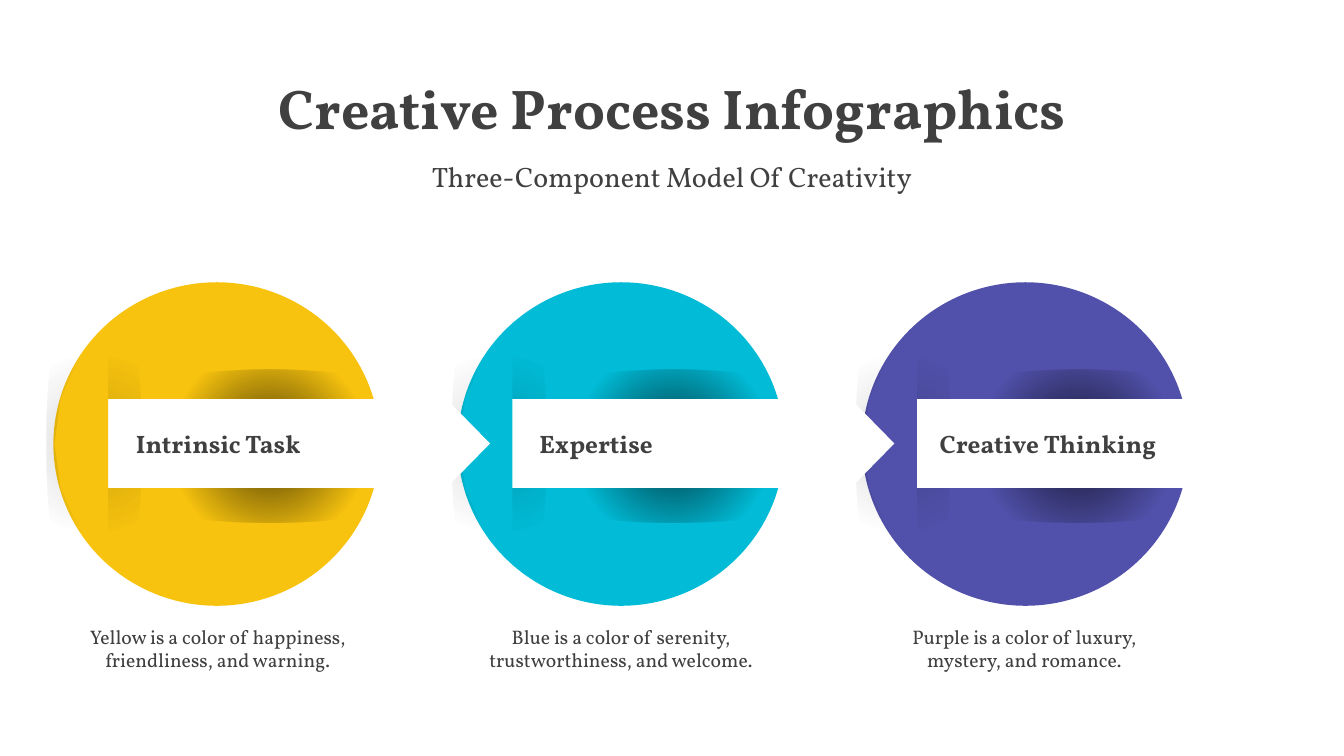
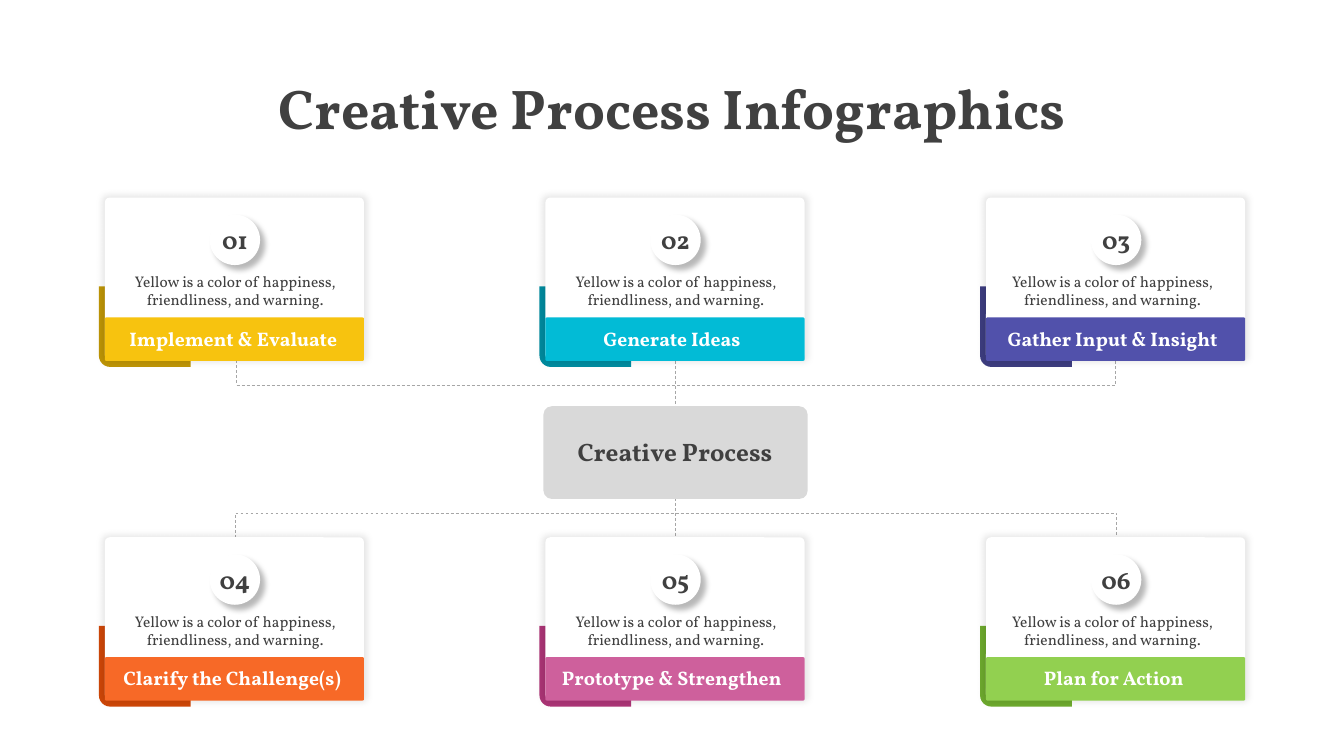
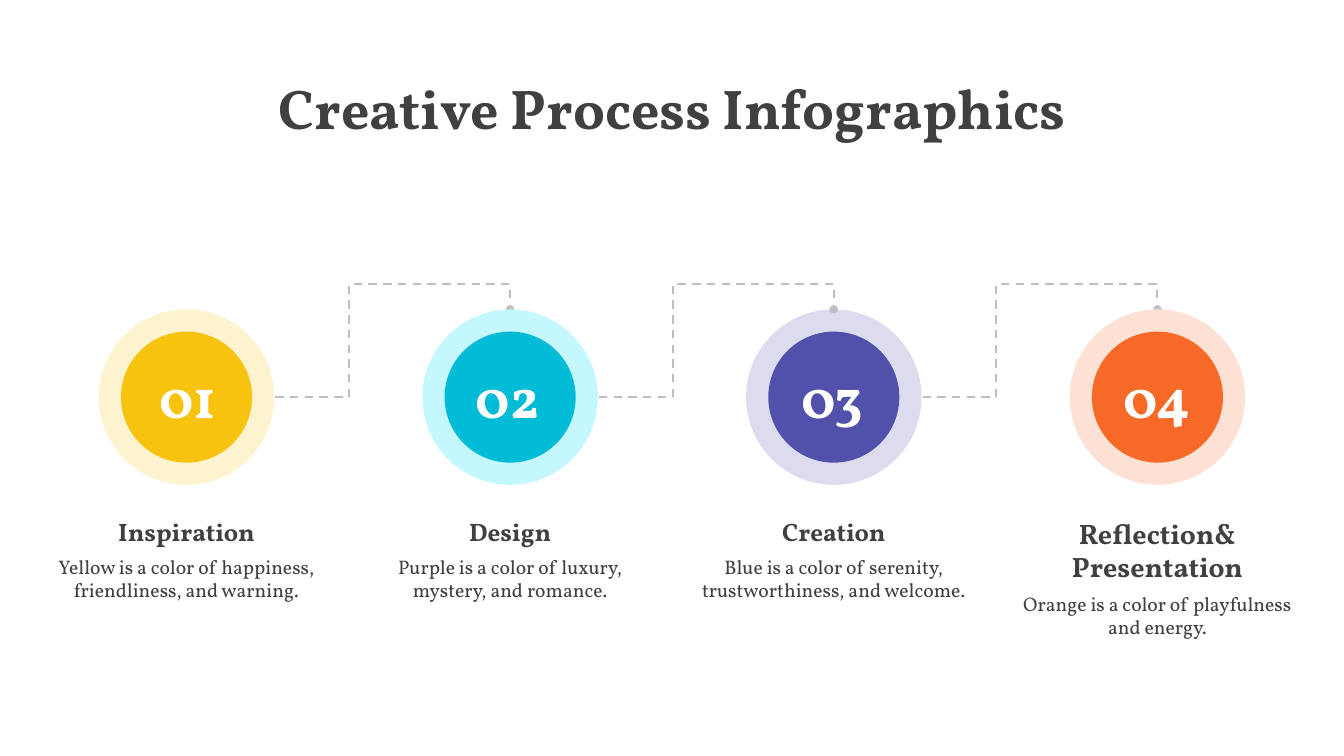
"""Build three creative process infographic slides."""
import math

import pptx
import pptx.dml.color
import pptx.enum.dml
import pptx.enum.shapes
import pptx.enum.text
import pptx.oxml
import pptx.oxml.ns
import pptx.util

Inches = pptx.util.Inches
Pt = pptx.util.Pt
RGBColor = pptx.dml.color.RGBColor
SHAPE = pptx.enum.shapes.MSO_SHAPE
CONNECTOR = pptx.enum.shapes.MSO_CONNECTOR
ALIGN = pptx.enum.text.PP_ALIGN
qn = pptx.oxml.ns.qn

FONT = "Vollkorn"
INK = RGBColor(0x40, 0x40, 0x40)
WHITE = RGBColor(0xFF, 0xFF, 0xFF)
BLACK = RGBColor(0x00, 0x00, 0x00)
PANEL = RGBColor(0xD9, 0xD9, 0xD9)
LINK_DARK = RGBColor(0xA6, 0xA6, 0xA6)
LINK_LIGHT = RGBColor(0xBF, 0xBF, 0xBF)
YELLOW = RGBColor(0xF7, 0xC3, 0x0F)
YELLOW_DARK = RGBColor(0xBE, 0x95, 0x06)
YELLOW_PALE = RGBColor(0xFD, 0xF3, 0xCF)
CYAN = RGBColor(0x02, 0xBB, 0xD6)
CYAN_DARK = RGBColor(0x01, 0x8C, 0xA0)
CYAN_PALE = RGBColor(0xC5, 0xF7, 0xFE)
PURPLE = RGBColor(0x51, 0x51, 0xAB)
PURPLE_DARK = RGBColor(0x3D, 0x3D, 0x80)
PURPLE_PALE = RGBColor(0xDC, 0xDC, 0xEE)
ORANGE = RGBColor(0xF7, 0x69, 0x27)
ORANGE_DARK = RGBColor(0xCF, 0x47, 0x08)
ORANGE_PALE = RGBColor(0xFD, 0xE1, 0xD4)
PINK = RGBColor(0xCE, 0x60, 0x9C)
PINK_DARK = RGBColor(0xAD, 0x35, 0x77)
GREEN = RGBColor(0x92, 0xD0, 0x50)
GREEN_DARK = RGBColor(0x6E, 0xAA, 0x2E)

YELLOW_NOTE = "Yellow is a color of happiness, friendliness, and warning."
BLUE_NOTE = "Blue is a color of serenity, trustworthiness, and welcome."
PURPLE_NOTE = "Purple is a color of luxury, mystery, and romance."
ORANGE_NOTE = "Orange is a color of playfulness and energy."


def write(holder, text, size=14, color=INK, bold=False, align=ALIGN.CENTER, before=0, inset=0.05):
    """Add one formatted paragraph to the holder's text."""
    frame = holder.text_frame
    frame.word_wrap = True
    frame.auto_size = pptx.enum.text.MSO_AUTO_SIZE.NONE
    frame.margin_left = Inches(inset)
    frame.margin_right = frame.margin_top = frame.margin_bottom = Inches(0.05)
    paragraph = frame.add_paragraph() if frame.text else frame.paragraphs[0]
    paragraph.alignment = align
    paragraph.space_before = Pt(before)
    run = paragraph.add_run()
    run.text = text
    run.font.name = FONT
    run.font.size = Pt(size)
    run.font.bold = bold
    run.font.color.rgb = color


def block(slide, kind, box, color, round_by=None, shadow=None, fade=None):
    """Add a borderless shape, with an optional shadow or a fading fill."""
    shape = slide.shapes.add_shape(kind, *map(Inches, box))
    shape.fill.solid()
    shape.fill.fore_color.rgb = color
    shape.line.fill.background()
    shape.shadow.inherit = False
    if round_by is not None:
        shape.adjustments[0] = round_by
    properties = shape._element.spPr
    namespace = pptx.oxml.ns.nsdecls("a")
    if shadow:
        alpha, blur, distance, angle, scale = shadow
        properties.find(qn("a:effectLst")).append(pptx.oxml.parse_xml(
            f'<a:outerShdw {namespace} blurRad="{Pt(blur)}" dist="{Pt(distance)}" '
            f'dir="{angle * 60000}" sx="{scale * 1000}" sy="{scale * 1000}" algn="ctr" '
            f'rotWithShape="0"><a:srgbClr val="{BLACK}">'
            f'<a:alpha val="{alpha * 1000}"/></a:srgbClr></a:outerShdw>'))
    if fade:
        stops = "".join(
            f'<a:gs pos="{place * 1000}"><a:srgbClr val="{color}">'
            f'<a:alpha val="{alpha * 1000}"/></a:srgbClr></a:gs>'
            for place, alpha in ((0, fade), (42, 0), (100, 0)))
        properties.replace(properties.find(qn("a:solidFill")), pptx.oxml.parse_xml(
            f'<a:gradFill {namespace} rotWithShape="1"><a:gsLst>{stops}</a:gsLst>'
            '<a:path path="circle"><a:fillToRect l="50000" t="50000" r="50000" b="50000"/>'
            '</a:path></a:gradFill>'))
    return shape


deck = pptx.Presentation()
deck.slide_width = Inches(13.33)
deck.slide_height = Inches(7.5)
for layout_index in (0, 5, 5):
    page = deck.slides.add_slide(deck.slide_layouts[layout_index])
    heading = page.shapes.title
    heading.left, heading.top = Inches(0), Inches(0.68)
    heading.width, heading.height = deck.slide_width, Inches(0.77)
    write(heading, "Creative Process Infographics", size=40, bold=True)
model, process, stages = deck.slides
links = []

subtitle = model.placeholders[1]
subtitle.left, subtitle.top = Inches(0), Inches(1.53)
subtitle.width, subtitle.height = deck.slide_width, Inches(0.44)
write(subtitle, "Three-Component Model Of Creativity", size=20)

components = [
    ("Intrinsic Task", 1.25, YELLOW, YELLOW_NOTE),
    ("Expertise", 5.25, CYAN, BLUE_NOTE),
    ("Creative Thinking", 9.22, PURPLE, PURPLE_NOTE),
]
for column, (name, name_left, color, note) in reversed(list(enumerate(components))):
    left = 0.53 + 4.01 * column
    block(model, SHAPE.OVAL, (left, 2.8, 3.24, 3.21), color)
    side_shade = block(model, SHAPE.OVAL, (left - 1.67, 3.93, 4.15, 0.94), BLACK, fade=15)
    side_shade.rotation = 270
    block(model, SHAPE.OVAL, (left - 0.06, 3.67, 4.4, 1.51), BLACK, fade=70)
    block(model, SHAPE.PENTAGON, (left + 0.21, 3.96, 4.12, 0.88), WHITE, round_by=0.49)
    rim = [(Inches(left + 1.62 - 1.61 * math.cos(math.radians(angle))),
            Inches(4.4 + 1.6 * math.sin(math.radians(angle)))) for angle in range(-48, 49, 16)]
    outline = model.shapes.build_freeform(*rim[0])
    outline.add_line_segments(rim[1:], close=True)
    edge = outline.convert_to_shape()
    edge.fill.solid()
    edge.fill.fore_color.rgb = color
    edge.line.fill.background()
    edge.shadow.inherit = False
    caption = model.shapes.add_textbox(*map(Inches, (0.65 + 4 * column, 6.15, 3.02, 0.57)))
    write(caption, note)
    label = model.shapes.add_textbox(*map(Inches, (name_left, 4.2, 3.02, 0.4)))
    write(label, name, size=18, bold=True, align=ALIGN.LEFT, inset=0.1)

routes = [
    (CONNECTOR.ELBOW, (6.71, 9.7, 6.7, 0.96), 90),
    (CONNECTOR.STRAIGHT, (6.7, 3.58, 6.7, 4.03), 0),
    (CONNECTOR.STRAIGHT, (6.7, 4.94, 6.7, 5.33), 0),
    (CONNECTOR.ELBOW, (6.71, -0.78, 6.7, 7.94), 270),
]
for kind, ends, turn in routes:
    link = process.shapes.add_connector(kind, *map(Inches, ends))
    if turn:
        link._element.spPr.find(qn("a:xfrm")).set("rot", str(turn * 60000))
    links.append((link, LINK_DARK, 0.5, [2500000] if turn else []))

block(process, SHAPE.ROUNDED_RECTANGLE, (5.39, 4.03, 2.62, 0.92), PANEL, round_by=0.09)
hub = process.shapes.add_textbox(*map(Inches, (5.58, 4.28, 2.23, 0.4)))
write(hub, "Creative Process", size=18, bold=True)

caption_lefts = (1.12, 5.49, 9.82)
steps = [
    ("Implement & Evaluate", 2.27, YELLOW, YELLOW_DARK),
    ("Generate Ideas", 1.61, CYAN, CYAN_DARK),
    ("Gather Input & Insight", 2.33, PURPLE, PURPLE_DARK),
    ("Clarify the Challenge(s)", 2.39, ORANGE, ORANGE_DARK),
    ("Prototype & Strengthen", 2.43, PINK, PINK_DARK),
    ("Plan for Action", 1.61, GREEN, GREEN_DARK),
]
for index, (name, name_width, color, dark) in enumerate(steps):
    row, column = divmod(index, 3)
    left = 1.04 + 4.37 * column
    top = 1.96 + 3.37 * row
    corner = block(process, SHAPE.ROUND_1_RECTANGLE, (left - 0.06, top + 0.88, 0.91, 0.8), dark, round_by=0.14)
    corner.rotation = 180
    block(process, SHAPE.ROUNDED_RECTANGLE, (left, top, 2.57, 1.61), WHITE, round_by=0.03,
          shadow=(10, 5, 0, 0, 102))
    block(process, SHAPE.ROUNDED_RECTANGLE, (left, top + 1.19, 2.57, 0.43), color, round_by=0.03)
    block(process, SHAPE.OVAL, (left + 1.04, top + 0.17, 0.5, 0.5), WHITE, shadow=(27, 4, 5, 45, 100))
    number = process.shapes.add_textbox(*map(Inches, (left + 1.04, top + 0.22, 0.5, 0.4)))
    write(number, f"{index + 1:02}", size=18, bold=True)
    label = process.shapes.add_textbox(
        *map(Inches, (left + 1.28 - name_width / 2, top + 1.23, name_width, 0.34)))
    write(label, name, color=WHITE, bold=True, align=ALIGN.LEFT, inset=0.1)
    caption = process.shapes.add_textbox(*map(Inches, (caption_lefts[column], top + 0.69, 2.43, 0.47)))
    write(caption, YELLOW_NOTE, size=11)

phases = [
    (0, 1.43, ["Inspiration"], 18, YELLOW, YELLOW_PALE, YELLOW_NOTE),
    (2, 7.82, ["Creation"], 18, PURPLE, PURPLE_PALE, BLUE_NOTE),
    (3, 11.04, ["Reflection&", "Presentation"], 20, ORANGE, ORANGE_PALE, ORANGE_NOTE),
    (1, 4.6, ["Design"], 18, CYAN, CYAN_PALE, PURPLE_NOTE),
]
for column, number_left, names, size, color, pale, note in phases:
    left = 0.98 + 3.21 * column
    block(stages, SHAPE.OVAL, (left, 3.07, 1.74, 1.74), pale)
    block(stages, SHAPE.OVAL, (left + 0.22, 3.29, 1.3, 1.3), color)
    number = stages.shapes.add_textbox(*map(Inches, (number_left, 3.55, 0.87, 0.77)))
    write(number, f"{column + 1:02}", size=40, color=WHITE, bold=True)
    caption = stages.shapes.add_textbox(*map(Inches, (left - 0.58, 5.07, 2.9, 1.25)))
    for name in names:
        write(caption, name, size=size, bold=True)
    write(caption, note, before=6)
    if column < 3:
        link = stages.shapes.add_connector(
            CONNECTOR.ELBOW, *map(Inches, (left + 1.75, 3.94, left + 4.08, 3.07)))
        links.append((link, LINK_LIGHT, 1.5, [31400, 128700]))

for link, color, width, bends in links:
    link.line.color.rgb = color
    link.line.width = Pt(width)
    link.line.dash_style = pptx.enum.dml.MSO_LINE.DASH
    properties = link._element.spPr
    geometry = properties.find(qn("a:prstGeom"))
    guides = geometry.get_or_add_avLst()
    for number, bend in enumerate(bends, 1):
        guide = guides.makeelement(qn("a:gd"), {"name": f"adj{number}", "fmla": f"val {bend}"})
        guides.append(guide)
    if len(bends) == 2:
        geometry.set("prst", "bentConnector4")
        outline = properties.find(qn("a:ln"))
        outline.append(outline.makeelement(qn("a:tailEnd"), {"type": "oval"}))
    properties.append(properties.makeelement(qn("a:effectLst"), {}))

deck.save("out.pptx")
